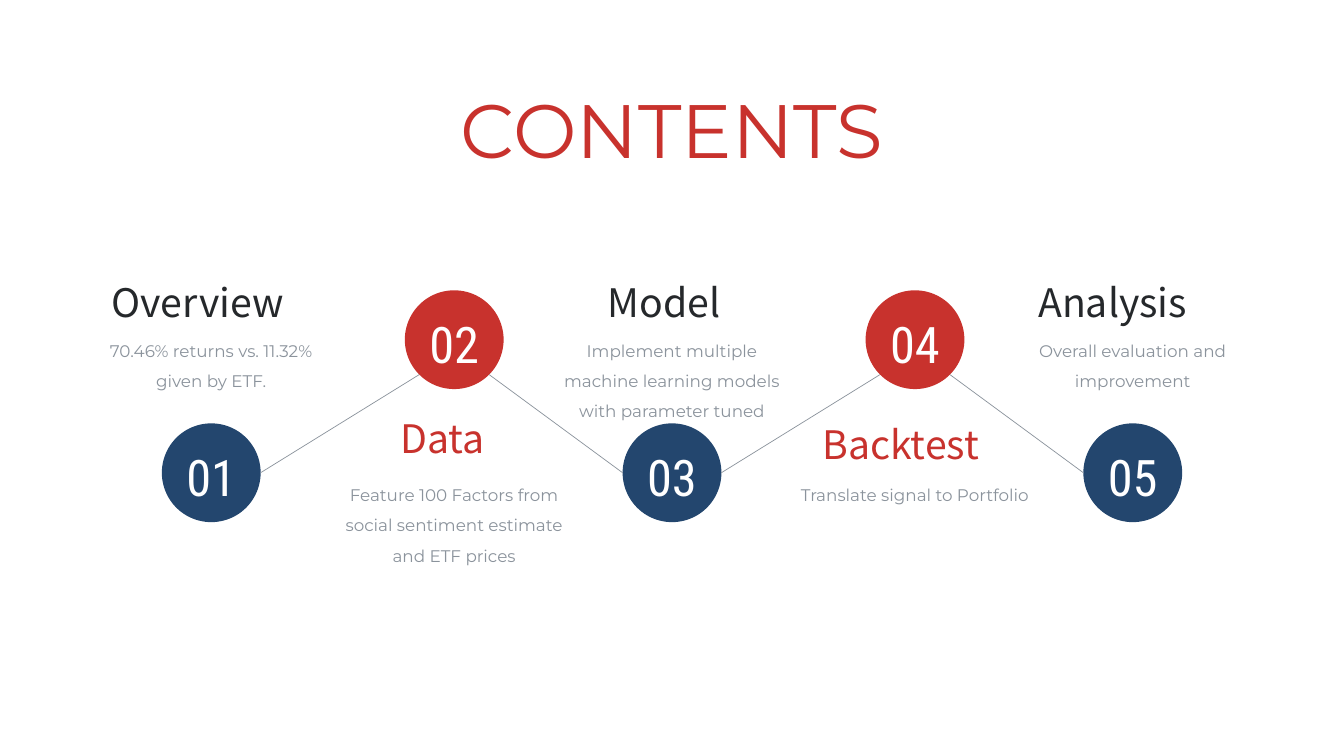
from itertools import pairwise
from math import sqrt

from lxml import etree
from pptx import Presentation
from pptx.dml.color import RGBColor
from pptx.enum.shapes import MSO_CONNECTOR as Connector, MSO_SHAPE as Shape
from pptx.enum.text import MSO_ANCHOR as Anchor, MSO_AUTO_SIZE as AutoSize, PP_ALIGN as Align
from pptx.oxml.ns import qn
from pptx.util import Inches, Pt

COLORS = {
    "red": "C8322D",
    "navy": "23466E",
    "dark": "25282B",
    "gray": "8B939C",
    "white": "FFFFFF",
}
DIAMETER = 0.98
COLUMN_WIDTH = 2.57
PERIOD = 4.57  # distance between columns of the same row

# heading, its left offset in the column, its top, its width, body text, body height
TOPICS = [
    ("Overview", 0.2, 2.71, 2.18, "70.46% returns vs. 11.32% given by ETF.", 0.68),
    ("Data", 0.65, 4.06, 1.19, "Feature 100 Factors from social sentiment estimate and ETF prices", 0.98),
    ("Model", 0.55, 2.71, 1.48, "Implement multiple machine learning models with parameter tuned", 0.98),
    ("Backtest", 0.27, 4.12, 2.03, "Translate signal to Portfolio", 0.38),
    ("Analysis", 0.25, 2.71, 2.08, "Overall evaluation and improvement", 0.68),
]


def color(name):
    return RGBColor.from_string(COLORS[name])


def write(frame, text, *, font, size, ink, align=Align.CENTER, spacing=None):
    para = frame.paragraphs[0]
    para.alignment = align
    if spacing:
        para.line_spacing = spacing
    span = para.add_run()
    span.text = text
    span.font.name = font
    span.font.size = Pt(size)
    span.font.color.rgb = color(ink)


def add_text(page, box, text, wrap=False, **style):
    frame = page.shapes.add_textbox(*map(Inches, box)).text_frame
    frame.word_wrap = wrap
    frame.auto_size = AutoSize.SHAPE_TO_FIT_TEXT
    write(frame, text, **style)


def add_circle(page, left, top, number, fill):
    circle = page.shapes.add_shape(
        Shape.OVAL, Inches(left), Inches(top), Inches(DIAMETER), Inches(DIAMETER))
    circle.name = f"Number {number}"
    circle.shadow.inherit = False
    circle.fill.solid()
    circle.fill.fore_color.rgb = color(fill)
    circle.line.fill.background()
    frame = circle.text_frame
    frame.margin_left = frame.margin_right = frame.margin_bottom = 0
    frame.margin_top = Inches(0.08)
    frame.vertical_anchor = Anchor.MIDDLE
    write(frame, number, font="Roboto Condensed", size=36, ink="white")


def add_topic(page, index, left):
    """Place one numbered topic in a column and return its circle's centre."""
    heading, shift, heading_top, width, body, height = TOPICS[index]
    raised = index % 2 == 1
    circle_top, body_top = (2.88, 4.66) if raised else (4.2, 3.23)
    circle_left = left + (COLUMN_WIDTH - DIAMETER) / 2

    add_circle(page, circle_left, circle_top, f"{index + 1:02}", "red" if raised else "navy")
    add_text(page, (left + shift, heading_top, width, 0.57), heading,
             font="Noto Sans CJK SC", size=28, ink="red" if raised else "dark", align=Align.LEFT)
    add_text(page, (left, body_top, COLUMN_WIDTH, height), body, wrap=True,
             font="Montserrat", size=12, ink="gray", spacing=1.5)
    return circle_left + DIAMETER / 2, circle_top + DIAMETER / 2


def add_link(page, start, end):
    """Join a low circle's side to a raised circle's lower diagonal point."""
    radius = DIAMETER / 2
    points = []
    for (x, y), other, side in ((start, end, 1), (end, start, -1)):
        raised = y < other[1]
        reach = radius / sqrt(2) if raised else radius
        points += [x + side * reach, y + reach if raised else y]
    link = page.shapes.add_connector(Connector.STRAIGHT, *map(Inches, points))
    link.line.color.rgb = color("gray")
    link.line.width = Pt(0.5)
    etree.SubElement(link._element.spPr, qn("a:effectLst"))


def add_contents(page):
    # Title
    add_text(page, (4.46, 0.77, 4.4, 1.01), "CONTENTS", font="Montserrat", size=54, ink="red")
    # Topics, alternating between the low and the raised row
    centers = []
    for index in range(len(TOPICS)):
        left = (0.81, 3.22)[index % 2] + PERIOD * (index // 2)
        centers.append(add_topic(page, index, left))
    # Zigzag between the circles
    for start, end in pairwise(centers):
        add_link(page, start, end)


def main():
    deck = Presentation()
    deck.slide_width, deck.slide_height = Inches(13.33), Inches(7.5)
    add_contents(deck.slides.add_slide(deck.slide_layouts[6]))
    deck.save("out.pptx")


if __name__ == "__main__":
    main()
